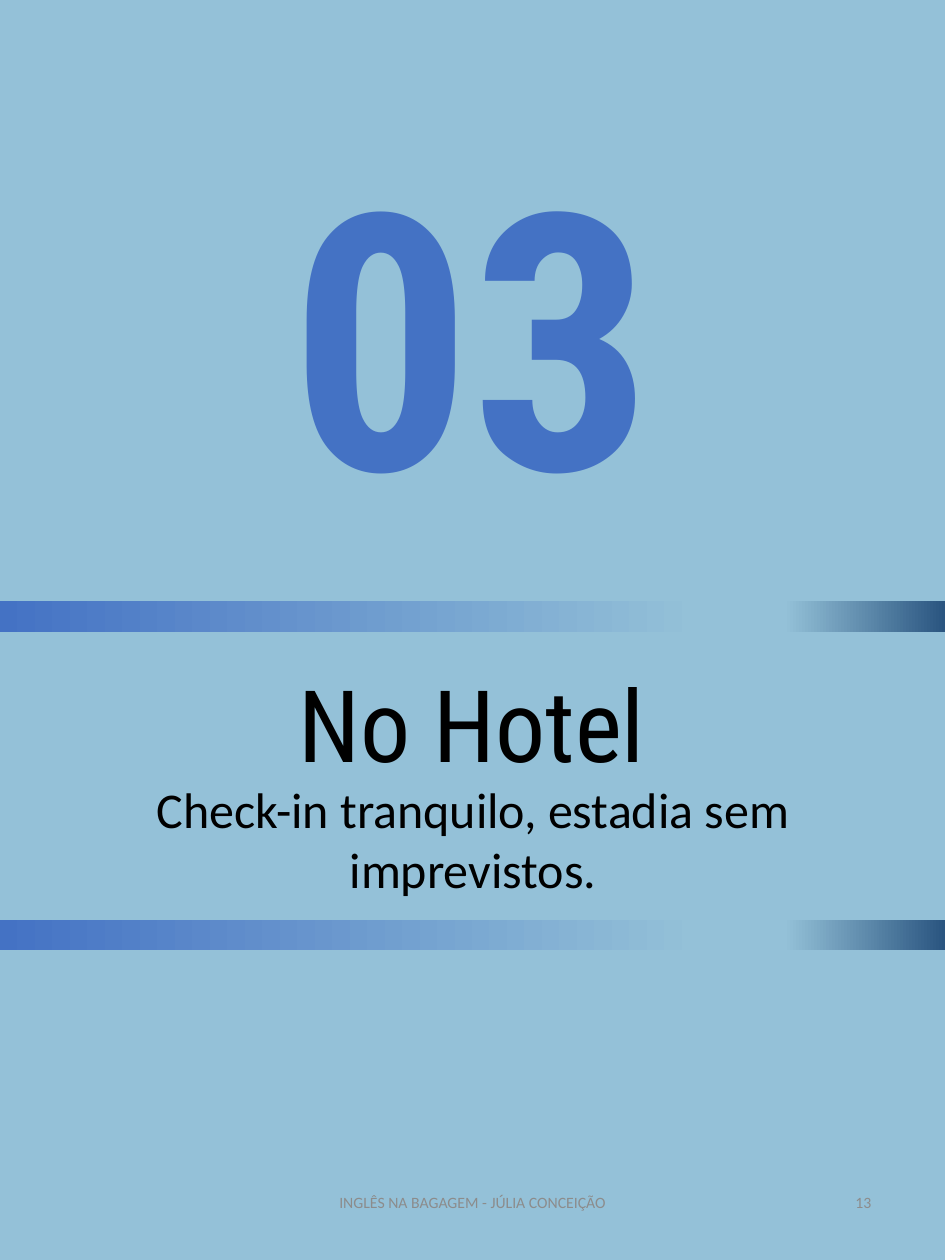
from dataclasses import dataclass

import pptx
import pptx.dml.color
import pptx.enum.shapes
import pptx.enum.text
import pptx.oxml
import pptx.oxml.ns
import pptx.util

Inches = pptx.util.Inches
Align = pptx.enum.text.PP_ALIGN
Anchor = pptx.enum.text.MSO_ANCHOR

WIDTH, HEIGHT = 10.5, 14
SKY, BLUE, NAVY, BLACK, GRAY = "94C1D8", "4472C4", "2A5580", "000000", "8C8C8C"
HEAD, BODY = "Roboto Condensed", "Calibri"
STOPS = [(0, BLUE), (74, SKY), (83, SKY), (100, NAVY)]
FADE_TOPS = [10.22, 6.68]
FADE_HEIGHT = 0.34
FOOT_TOP, FOOT_HEIGHT, FOOT_SIZE = 12.98, 0.75, 12.6


@dataclass
class Label:
    text: str
    left: float
    top: float
    width: float
    height: float
    size: float
    font: str = BODY
    color: str = BLACK
    bold: bool = False
    align: Align = Align.CENTER
    anchor: Anchor = Anchor.TOP
    edge: float = 0


def footer(text: str, left: float, width: float, align: Align) -> Label:
    return Label(text, left, FOOT_TOP, width, FOOT_HEIGHT, FOOT_SIZE,
                 color=GRAY, align=align, anchor=Anchor.MIDDLE)


LABELS = [
    Label("No Hotel", 2.27, 7.31, 5.95, 1.45, 80, HEAD),
    Label("03", 2.27, 1.19, 5.95, 4.93, 287, HEAD, BLUE, bold=True, edge=2.25),
    Label("Check-in tranquilo, estadia sem imprevistos.", 1.11, 8.6, 8.29, 1.45, 40),
    footer("INGLÊS NA BAGAGEM - JÚLIA CONCEIÇÃO", 3.48, 3.54, Align.CENTER),
    footer("13", 7.42, 2.36, Align.RIGHT),
]


def paint(target, color: str) -> None:
    target.rgb = pptx.dml.color.RGBColor.from_string(color)


def make_xml(tag: str, attrs: str, inner: str):
    space = pptx.oxml.ns.nsdecls("a")
    return pptx.oxml.parse_xml(f"<a:{tag} {space} {attrs}>{inner}</a:{tag}>")


def color_xml(color: str) -> str:
    return f'<a:srgbClr val="{color}"/>'


def add_band(slide, top: float, height: float):
    band = slide.shapes.add_shape(
        pptx.enum.shapes.MSO_SHAPE.RECTANGLE,
        Inches(0), Inches(top), Inches(WIDTH), Inches(height))
    band.shadow.inherit = False
    band.line.fill.background()
    return band


def add_back(slide) -> None:
    back = add_band(slide, 0, HEIGHT)
    back.fill.solid()
    paint(back.fill.fore_color, SKY)


def add_fade(slide, top: float) -> None:
    band = add_band(slide, top, FADE_HEIGHT)
    band.fill.gradient()
    band.fill.gradient_angle = 0
    stops = band.element.spPr.find(".//" + pptx.oxml.ns.qn("a:gsLst"))
    for old in list(stops):
        stops.remove(old)
    for place, color in STOPS:
        stops.append(make_xml("gs", f'pos="{place * 1000}"', color_xml(color)))


def add_edge(run, width: float, color: str) -> None:
    fill = f"<a:solidFill>{color_xml(color)}</a:solidFill>"
    edge = make_xml("ln", f'w="{int(pptx.util.Pt(width))}"', fill)
    run._r.get_or_add_rPr().insert(0, edge)


def add_label(slide, label: Label) -> None:
    box = slide.shapes.add_textbox(
        Inches(label.left), Inches(label.top), Inches(label.width), Inches(label.height))
    frame = box.text_frame
    frame.text = label.text
    frame.word_wrap = True
    frame.vertical_anchor = label.anchor
    line = frame.paragraphs[0]
    line.alignment = label.align
    run = line.runs[0]
    run.font.name = label.font
    run.font.size = pptx.util.Pt(label.size)
    run.font.bold = label.bold
    paint(run.font.color, label.color)
    if label.edge:
        add_edge(run, label.edge, BLACK)


def main() -> None:
    deck = pptx.Presentation()
    deck.slide_width, deck.slide_height = Inches(WIDTH), Inches(HEIGHT)
    slide = deck.slides.add_slide(deck.slide_layouts[6])
    add_back(slide)
    for top in FADE_TOPS:
        add_fade(slide, top)
    for label in LABELS:
        add_label(slide, label)
    deck.save("out.pptx")


if __name__ == "__main__":
    main()
